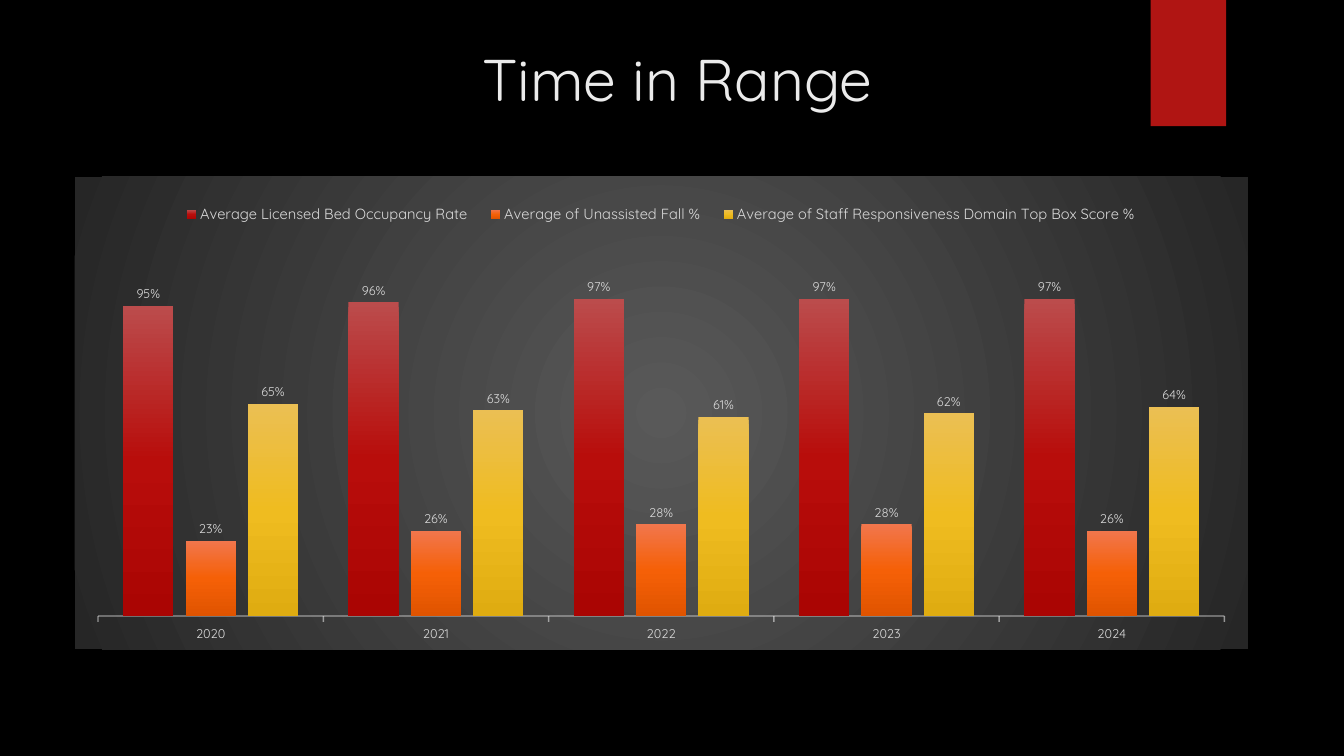
from dataclasses import dataclass

from lxml import etree
from pptx import Presentation
from pptx import util as u
from pptx.chart import data as cd
from pptx.dml.color import RGBColor
from pptx.enum import chart as ec
from pptx.enum import shapes, text
from pptx.oxml import ns, parse_xml

BLACK = RGBColor(0x00, 0x00, 0x00)
RED = RGBColor(0xB0, 0x15, 0x13)
PALE = RGBColor(0xEB, 0xEB, 0xEB)
GREY = RGBColor(0xD9, 0xD9, 0xD9)
WHITE = RGBColor(0xFF, 0xFF, 0xFF)
FROST = RGBColor(0xF2, 0xF2, 0xF2)
STEEL = RGBColor(0x59, 0x59, 0x59)
COAL = RGBColor(0x26, 0x26, 0x26)
FACE = "Quicksand"
YEARS = ["2020", "2021", "2022", "2023", "2024"]


@dataclass
class Measure:
    name: str
    rates: list[float]
    tones: list[RGBColor]


MEASURES = [
    Measure("Average Licensed Bed Occupancy Rate",
            [0.95, 0.96, 0.97, 0.97, 0.97],
            [RGBColor(0xBB, 0x4C, 0x4C), RGBColor(0xB8, 0x0D, 0x0B),
             RGBColor(0xAA, 0x05, 0x03)]),
    Measure("Average of Unassisted Fall %",
            [0.23, 0.26, 0.28, 0.28, 0.26],
            [RGBColor(0xF1, 0x76, 0x4C), RGBColor(0xF5, 0x60, 0x07),
             RGBColor(0xE0, 0x54, 0x00)]),
    Measure("Average of Staff Responsiveness Domain Top Box Score %",
            [0.65, 0.63, 0.61, 0.62, 0.64],
            [RGBColor(0xEB, 0xBF, 0x53), RGBColor(0xEF, 0xBC, 0x20),
             RGBColor(0xDF, 0xAC, 0x11)]),
]


def style(font, size: float, color: RGBColor) -> None:
    font.name = FACE
    font.size = u.Pt(size)
    font.bold = False
    font.color.rgb = color


def write(frame, words: str, *, size: float, color: RGBColor, align, anchor) -> None:
    frame.word_wrap = True
    frame.auto_size = text.MSO_AUTO_SIZE.NONE
    frame.vertical_anchor = anchor
    para = frame.paragraphs[0]
    para.alignment = align
    run = para.add_run()
    run.text = words
    style(run.font, size, color)


def blend(tones: list[RGBColor], radial: bool = False):
    step = 100000 // (len(tones) - 1)
    stops = "".join(f'<a:gs pos="{i * step}"><a:srgbClr val="{tone}"/></a:gs>'
                    for i, tone in enumerate(tones))
    way = ('<a:path path="circle"><a:fillToRect l="50000" t="50000" r="50000" '
           'b="50000"/></a:path>' if radial else '<a:lin ang="5400000" scaled="0"/>')
    return parse_xml(f'<a:gradFill {ns.nsdecls("a")} rotWithShape="1">'
                     f'<a:gsLst>{stops}</a:gsLst>{way}</a:gradFill>')


def place(part, slot: int, box: tuple[float, ...], inner: bool = False) -> None:
    for old in part.findall(ns.qn("c:layout")):
        part.remove(old)
    aim = '<c:layoutTarget val="inner"/>' if inner else ""
    sizes = "".join(f'<c:{key} val="{val}"/>' for key, val in zip("xywh", box))
    part.insert(slot, parse_xml(
        f'<c:layout {ns.nsdecls("c")}><c:manualLayout>{aim}'
        f'<c:xMode val="edge"/><c:yMode val="edge"/>{sizes}'
        '</c:manualLayout></c:layout>'))


def paint(bars, item: Measure) -> None:
    bars.format.fill.gradient()
    old = bars.format.fill._xPr.find(ns.qn("a:gradFill"))
    old.getparent().replace(old, blend(item.tones))
    bars.invert_if_negative = False
    tags = bars.data_labels
    tags.show_value = True
    tags.number_format = "0%"
    tags.number_format_is_linked = False
    tags.position = ec.XL_LABEL_POSITION.OUTSIDE_END
    style(tags.font, 9, GREY)


def draw_chart(slide) -> None:
    data = cd.CategoryChartData(number_format="0%")
    data.categories = YEARS
    for item in MEASURES:
        data.add_series(item.name, item.rates)
    chart = slide.shapes.add_chart(
        ec.XL_CHART_TYPE.COLUMN_CLUSTERED, u.Cm(1.88), u.Cm(4.45),
        u.Cm(29.57), u.Cm(11.91), data).chart
    style(chart.font, 10, WHITE)
    chart.has_title = False
    chart.has_legend = True
    chart.legend.position = ec.XL_LEGEND_POSITION.TOP
    chart.legend.include_in_layout = False
    style(chart.legend.font, 10.5, GREY)

    root = chart._chartSpace.find(ns.qn("c:chart"))
    back = parse_xml(f'<c:spPr {ns.nsdecls("c", "a")}><a:ln><a:noFill/></a:ln></c:spPr>')
    back.insert(0, blend([STEEL, COAL], radial=True))
    root.addnext(back)
    place(root.find(ns.qn("c:plotArea")), 0, (0.02, 0.1, 0.96, 0.83), inner=True)
    place(root.find(ns.qn("c:legend")), 1, (0.08, 0.05, 0.84, 0.06))

    plot = chart.plots[0]
    plot.gap_width = 100
    plot.overlap = -24
    plot.vary_by_categories = False
    for bars, item in zip(plot.series, MEASURES):
        paint(bars, item)

    rate = chart.value_axis
    rate.minimum_scale = 0
    rate.maximum_scale = 1.2
    rate.has_major_gridlines = False
    rate.visible = False
    year = chart.category_axis
    year.major_tick_mark = ec.XL_TICK_MARK.OUTSIDE
    style(year.tick_labels.font, 9, GREY)
    line = year.format.line
    line.width = u.Pt(1)
    line.color.rgb = FROST
    tint = line._ln.find(".//" + ns.qn("a:srgbClr"))
    etree.SubElement(tint, ns.qn("a:alpha"), val="54000")


def main() -> None:
    deck = Presentation()
    deck.slide_width, deck.slide_height = u.Cm(33.87), u.Cm(19.05)
    slide = deck.slides.add_slide(deck.slide_layouts[5])
    slide.background.fill.solid()
    slide.background.fill.fore_color.rgb = BLACK

    flag = slide.shapes.add_shape(shapes.MSO_SHAPE.RECTANGLE, u.Cm(29), 0,
                                  u.Cm(1.9), u.Cm(3.18))
    flag.shadow.inherit = False
    flag.fill.solid()
    flag.fill.fore_color.rgb = RED
    flag.line.fill.background()

    title = slide.shapes.title
    title.left, title.top = u.Cm(2.69), u.Cm(0.95)
    title.width, title.height = u.Cm(28.75), u.Cm(3.51)
    write(title.text_frame, "Time in Range", size=42, color=PALE,
          align=text.PP_ALIGN.CENTER, anchor=text.MSO_ANCHOR.TOP)
    draw_chart(slide)
    deck.save("out.pptx")


if __name__ == "__main__":
    main()
